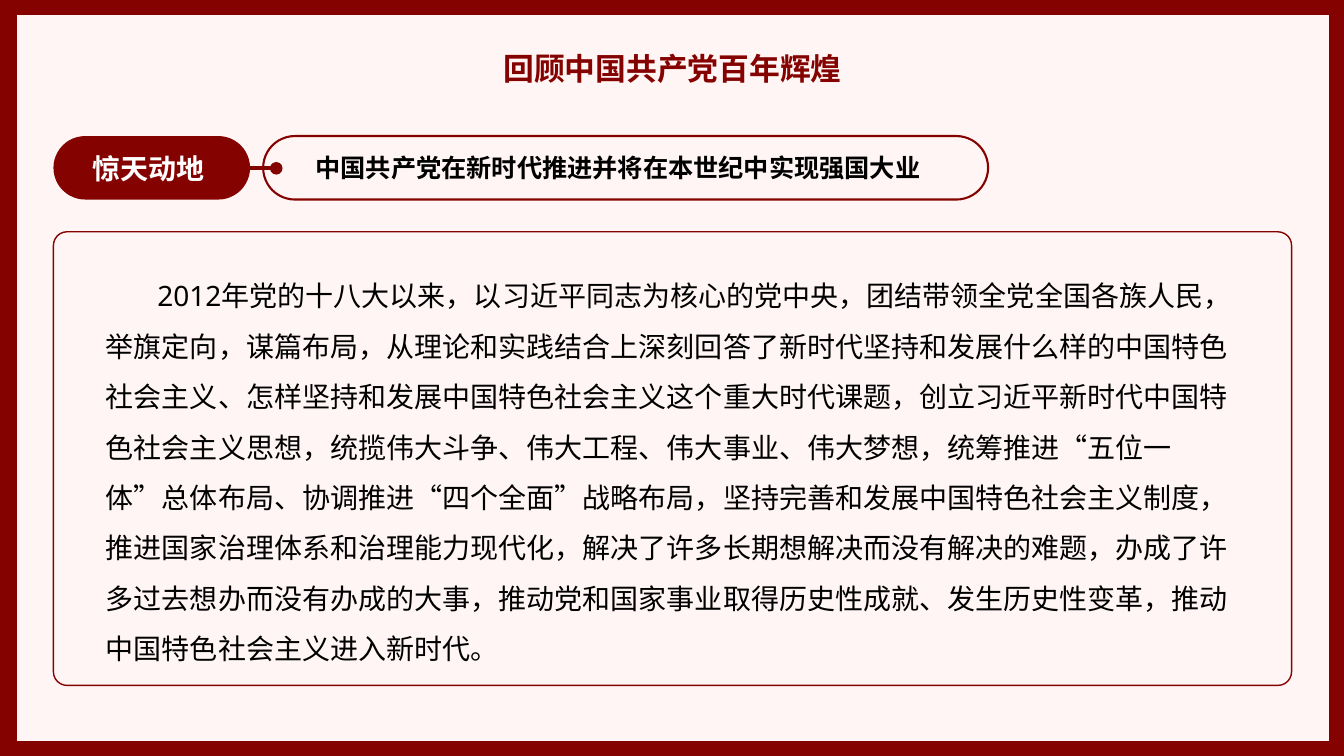
from lxml.etree import SubElement
from pptx import Presentation
from pptx.dml.color import RGBColor
from pptx.enum.shapes import MSO_CONNECTOR, MSO_SHAPE
from pptx.enum.text import MSO_ANCHOR, MSO_AUTO_SIZE, PP_ALIGN
from pptx.oxml.ns import qn
from pptx.util import Inches, Pt

COLORS = {"red": "840300", "blush": "FFF5F5", "white": "FFFFFF", "black": "000000"}
CJK_FONT = "Noto Sans CJK SC"
BODY = (
    "2012年党的十八大以来，以习近平同志为核心的党中央，团结带领全党全国各族人民，"
    "举旗定向，谋篇布局，从理论和实践结合上深刻回答了新时代坚持和发展什么样的中国特色"
    "社会主义、怎样坚持和发展中国特色社会主义这个重大时代课题，创立习近平新时代中国特"
    "色社会主义思想，统揽伟大斗争、伟大工程、伟大事业、伟大梦想，统筹推进“五位一"
    "体”总体布局、协调推进“四个全面”战略布局，坚持完善和发展中国特色社会主义制度，"
    "推进国家治理体系和治理能力现代化，解决了许多长期想解决而没有解决的难题，办成了许"
    "多过去想办而没有办成的大事，推动党和国家事业取得历史性成就、发生历史性变革，推动"
    "中国特色社会主义进入新时代。"
)


def color(name):
    return RGBColor.from_string(COLORS[name])


class SlideBuilder:
    def __init__(self, slide):
        self.slide = slide
        self.target = slide.shapes

    def start_group(self):
        self.target = self.slide.shapes.add_group_shape().shapes

    def end_group(self):
        self.target = self.slide.shapes

    def panel(self, box, fill=None, line_width=0, rounding=None):
        kind = MSO_SHAPE.RECTANGLE if rounding is None else MSO_SHAPE.ROUNDED_RECTANGLE
        panel = self.target.add_shape(kind, *map(Inches, box))
        panel.shadow.inherit = False
        if rounding is not None:
            panel.adjustments[0] = rounding
        if fill:
            panel.fill.solid()
            panel.fill.fore_color.rgb = color(fill)
        else:
            panel.fill.background()
        if line_width:
            panel.line.color.rgb = color("red")
            panel.line.width = Pt(line_width)
        else:
            panel.line.fill.background()

    def link(self, left, right, y):
        link = self.target.add_connector(
            MSO_CONNECTOR.STRAIGHT, Inches(left), Inches(y), Inches(right), Inches(y)
        )
        link.line.color.rgb = color("red")
        link.line.width = Pt(3)
        outline = link.element.spPr.find(qn("a:ln"))
        for end in ("a:headEnd", "a:tailEnd"):
            SubElement(outline, qn(end), type="oval")
        SubElement(link.element.spPr, qn("a:effectLst"))

    def set_text(self, holder, text, size, ink, align, bold=True, font=CJK_FONT):
        frame = holder.text_frame
        frame.text = text
        frame.word_wrap = True
        frame.auto_size = MSO_AUTO_SIZE.NONE
        frame.vertical_anchor = MSO_ANCHOR.TOP
        paragraph = frame.paragraphs[0]
        paragraph.alignment = align
        paragraph.space_before = Pt(0)
        run = paragraph.runs[0]
        run.font.name = font
        run.font.size = Pt(size)
        run.font.bold = bold
        run.font.color.rgb = color(ink)
        SubElement(run._r.get_or_add_rPr(), qn("a:ea"), typeface=CJK_FONT)
        return paragraph

    def label(self, box, text, size, ink):
        holder = self.target.add_textbox(*map(Inches, box))
        self.set_text(holder, text, size, ink, PP_ALIGN.JUSTIFY)

    def place(self, holder, box):
        holder.left, holder.top, holder.width, holder.height = map(Inches, box)
        holder.element.getparent().append(holder.element)

    def title(self, box, text):
        heading = self.slide.shapes.title
        self.place(heading, box)
        self.set_text(heading, text, 22, "red", PP_ALIGN.CENTER)

    def body(self, box, text):
        story = self.slide.placeholders[1]
        self.place(story, box)
        paragraph = self.set_text(story, text, 20, "black", PP_ALIGN.LEFT, False, "Noto Sans")
        paragraph.line_spacing = 1.5
        properties = paragraph._p.get_or_add_pPr()
        properties.set("marL", "0")
        properties.set("indent", str(Inches(0.51)))
        SubElement(properties, qn("a:buNone"))


def main():
    deck = Presentation()
    deck.slide_width, deck.slide_height = Inches(13.33), Inches(7.5)
    page = SlideBuilder(deck.slides.add_slide(deck.slide_layouts[1]))

    page.panel((0, 0, 13.33, 7.5), fill="red")
    page.panel((0.17, 0.15, 13.01, 7.2), fill="blush")
    page.title((4.56, 0.44, 4.22, 0.47), "回顾中国共产党百年辉煌")

    page.start_group()
    page.panel((0.53, 1.35, 1.95, 0.63), fill="red", rounding=0.5)
    page.panel((2.61, 1.35, 7.19, 0.63), line_width=1.5, rounding=0.5)
    page.link(1.64, 2.74, 1.67)
    page.label((0.82, 1.45, 1.35, 0.44), "惊天动地", 20, "white")
    page.label((3.03, 1.46, 6.39, 0.4), "中国共产党在新时代推进并将在本世纪中实现强国大业", 18, "black")
    page.end_group()

    page.panel((0.53, 2.3, 12.28, 4.5), line_width=1, rounding=0.03)
    page.body((0.95, 2.55, 11.47, 4.1), BODY)
    deck.save("out.pptx")


if __name__ == "__main__":
    main()
